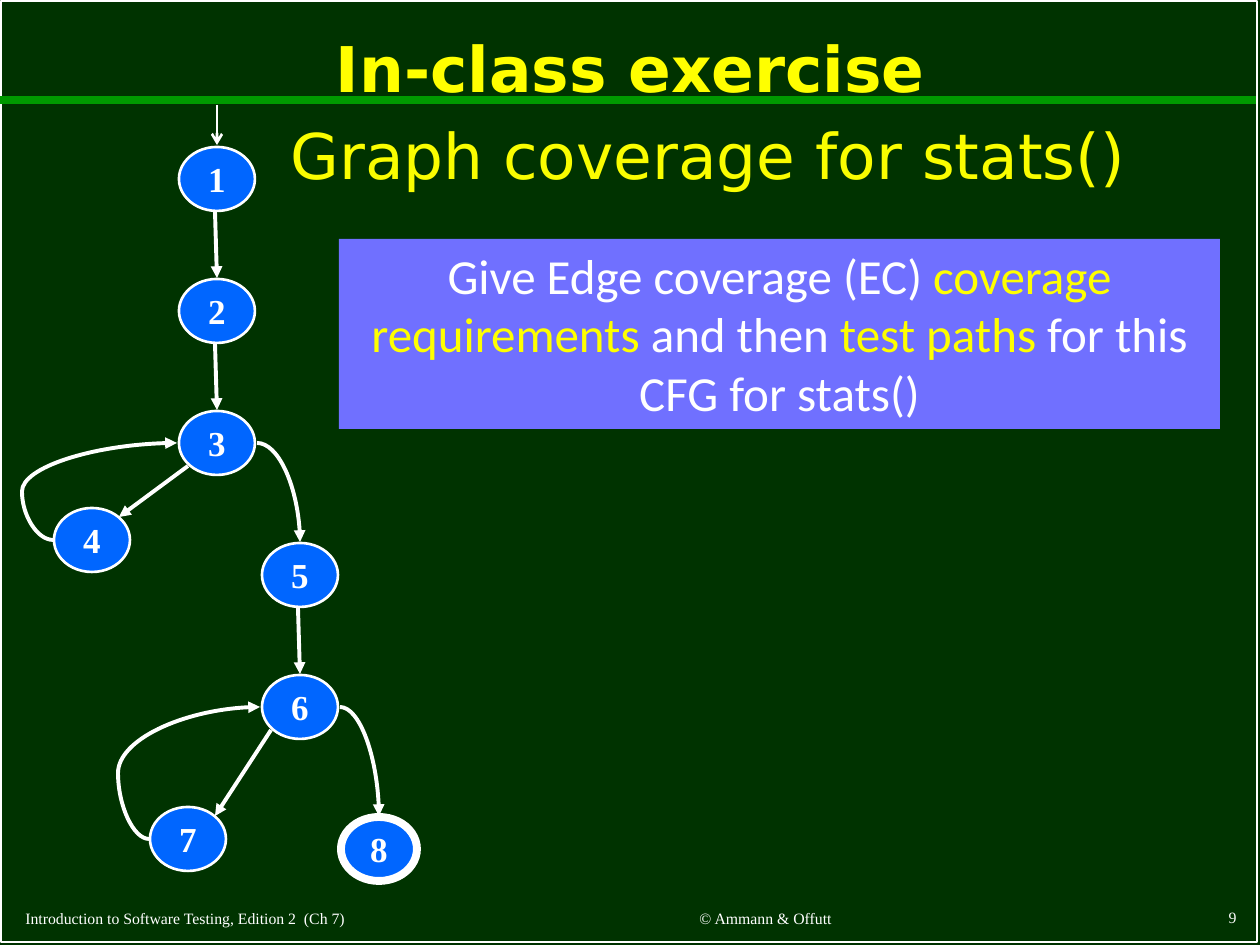
from dataclasses import dataclass

from lxml import etree
from pptx import Presentation
from pptx import util as u
from pptx.dml.color import RGBColor
from pptx.enum import shapes, text
from pptx.oxml.ns import qn

EMU_PER_PX = 914400 / 126
ALIGN = text.PP_ALIGN


def px(length):
    return u.Emu(round(length * EMU_PER_PX))


@dataclass(frozen=True)
class Theme:
    background: str = "003300"
    rule: str = "009900"
    node: str = "0066FF"
    panel: str = "7070FF"
    light: str = "FFFFFF"
    accent: str = "FFFF00"
    subtitle: str = "FAFD00"
    heading_font: str = "DejaVu Sans"
    panel_font: str = "Calibri"
    serif_font: str = "Times New Roman"
    heading_size: int = 36
    panel_size: int = 28
    node_size: int = 20
    footer_size: int = 9


class GraphSlide:
    HALF_WIDTH, HALF_HEIGHT = 38, 32

    def __init__(self, deck, theme):
        self.theme = theme
        self.page = deck.slides.add_slide(deck.slide_layouts[5])
        self.paint(self.page.background.fill, theme.background)

    def paint(self, fill, color):
        fill.solid()
        fill.fore_color.rgb = RGBColor.from_string(color)

    def outline(self, line, width, color=None):
        self.paint(line.fill, color or self.theme.light)
        line.width = u.Pt(width)

    def set_text(self, box, spans, font, size, align=ALIGN.CENTER,
                 anchor=text.MSO_ANCHOR.MIDDLE, bold=False):
        """Fill a box with one paragraph of (words, color) spans."""
        frame = box.text_frame
        frame.auto_size = text.MSO_AUTO_SIZE.NONE
        frame.word_wrap = True
        frame.vertical_anchor = anchor
        para = frame.paragraphs[0]
        para.alignment = align
        para.font.name, para.font.size, para.font.bold = font, u.Pt(size), bold
        for words, color in spans:
            span = para.add_run()
            span.text = words
            span.font.color.rgb = RGBColor.from_string(color)
        return para

    def shape(self, kind, left, top, width, height):
        box = self.page.shapes.add_shape(kind, px(left), px(top), px(width), px(height))
        box.shadow.inherit = False
        box.fill.background()
        box.line.fill.background()
        return box

    def frame(self, left, top, width, height):
        box = self.shape(shapes.MSO_SHAPE.RECTANGLE, left, top, width, height)
        self.outline(box.line, 1)

    def title(self, words, left, top, width, height):
        box = self.page.shapes.title
        box.left, box.top, box.width, box.height = map(px, (left, top, width, height))
        para = self.set_text(box, [(words, self.theme.accent)], self.theme.heading_font,
                             self.theme.heading_size, bold=True)
        para.line_spacing = 0.9

    def label(self, words, left, top, width, height, font, size, color,
              align=ALIGN.CENTER):
        box = self.page.shapes.add_textbox(px(left), px(top), px(width), px(height))
        self.set_text(box, [(words, color)], font, size, align)

    def footer(self, words, left, top, width, height, align):
        theme = self.theme
        self.label(words, left, top, width, height, theme.serif_font,
                   theme.footer_size, theme.light, align)

    def panel(self, spans, left, top, width, height):
        box = self.shape(shapes.MSO_SHAPE.RECTANGLE, left, top, width, height)
        self.paint(box.fill, self.theme.panel)
        self.set_text(box, spans, self.theme.panel_font, self.theme.panel_size,
                      anchor=text.MSO_ANCHOR.TOP)

    def node(self, name, center, border=1.5):
        x, y = center
        box = self.shape(shapes.MSO_SHAPE.OVAL, x - self.HALF_WIDTH, y - self.HALF_HEIGHT,
                         2 * self.HALF_WIDTH, 2 * self.HALF_HEIGHT)
        self.paint(box.fill, self.theme.node)
        self.outline(box.line, border)
        frame = box.text_frame
        frame.margin_left = frame.margin_right = 0
        frame.margin_top = frame.margin_bottom = 0
        self.set_text(box, [(str(name), self.theme.light)], self.theme.serif_font,
                      self.theme.node_size, bold=True)

    def connector(self, start, end, width=2.25, head="triangle", color=None,
                  preset=None, bend=None):
        kind = shapes.MSO_CONNECTOR.CURVE if preset else shapes.MSO_CONNECTOR.STRAIGHT
        line = self.page.shapes.add_connector(kind, *map(px, (*start, *end)))
        self.outline(line.line, width, color)
        props = line._element.spPr
        if head:
            etree.SubElement(props.find(qn("a:ln")), qn("a:tailEnd"), type=head)
        etree.SubElement(props, qn("a:effectLst"))
        if preset:
            geometry = props.find(qn("a:prstGeom"))
            geometry.set("prst", preset)
            if bend is not None:
                guides = geometry.find(qn("a:avLst"))
                etree.SubElement(guides, qn("a:gd"), name="adj1",
                                 fmla=f"val {round(bend * 100000)}")

    def down(self, source, target):
        (x1, y1), (x2, y2) = source, target
        self.connector((x1 - 2, y1 + 33), (x2, y2 - 33))

    def branch_left(self, source, target):
        (x1, y1), (x2, y2) = source, target
        self.connector((x1 - 29, y1 + 23), (x2 + 27, y2 - 23))

    def branch_right(self, source, target):
        (x1, y1), (x2, y2) = source, target
        self.connector((x1 + 40, y1), (x2, y2 - 33), preset="curvedConnector2")

    def loop_back(self, source, target):
        start, end = (source[0] - 39, source[1]), (target[0] - 40, target[1])
        self.connector(start, end, preset="curvedConnector3",
                       bend=-31 / (end[0] - start[0]))


def main():
    deck = Presentation()
    deck.slide_width, deck.slide_height = px(1260), px(945)
    theme = Theme()
    slide = GraphSlide(deck, theme)

    # Page frame, title and rule
    slide.frame(1, 1, 1256, 941)
    slide.connector((0, 100), (1256, 100), 4.5, None, theme.rule)
    slide.title("In-class exercise", 10, 14, 1241, 116)
    slide.label("Graph coverage for stats()", 271, 110, 874, 89,
                theme.heading_font, theme.heading_size, theme.subtitle)

    # Footer
    slide.footer("Introduction to Software Testing, Edition 2  (Ch 7)",
                 13, 902, 518, 33, ALIGN.LEFT)
    slide.footer("© Ammann & Offutt", 566, 902, 399, 33, ALIGN.CENTER)
    slide.footer("9", 987, 901, 262, 33, ALIGN.RIGHT)

    # Control flow graph: the main nodes sit on evenly spaced rows
    rows = [179 + 132 * step for step in range(5)]
    centers = {
        1: (217, rows[0]), 2: (217, rows[1]), 3: (217, rows[2]),
        4: (92, 540), 5: (300, rows[3]), 6: (300, rows[4]),
        7: (188, 839), 8: (379, 849),
    }
    final_node = 8
    for name, center in centers.items():
        slide.node(name, center, 4.5 if name == final_node else 1.5)

    # Edges
    slide.connector((217, 105), (217, 145), 1.5, "arrow")
    edges = [
        (slide.down, [(1, 2), (2, 3), (5, 6)]),
        (slide.branch_left, [(3, 4), (6, 7)]),
        (slide.branch_right, [(3, 5), (6, 8)]),
        (slide.loop_back, [(4, 3), (7, 6)]),
    ]
    for draw, pairs in edges:
        for source, target in pairs:
            draw(centers[source], centers[target])

    # Task
    slide.panel([
        ("Give Edge coverage (EC) ", theme.light),
        ("coverage requirements ", theme.accent),
        ("and then ", theme.light),
        ("test paths", theme.accent),
        (" for this CFG for stats()", theme.light),
    ], 339, 239, 881, 190)

    deck.save("out.pptx")


if __name__ == "__main__":
    main()
